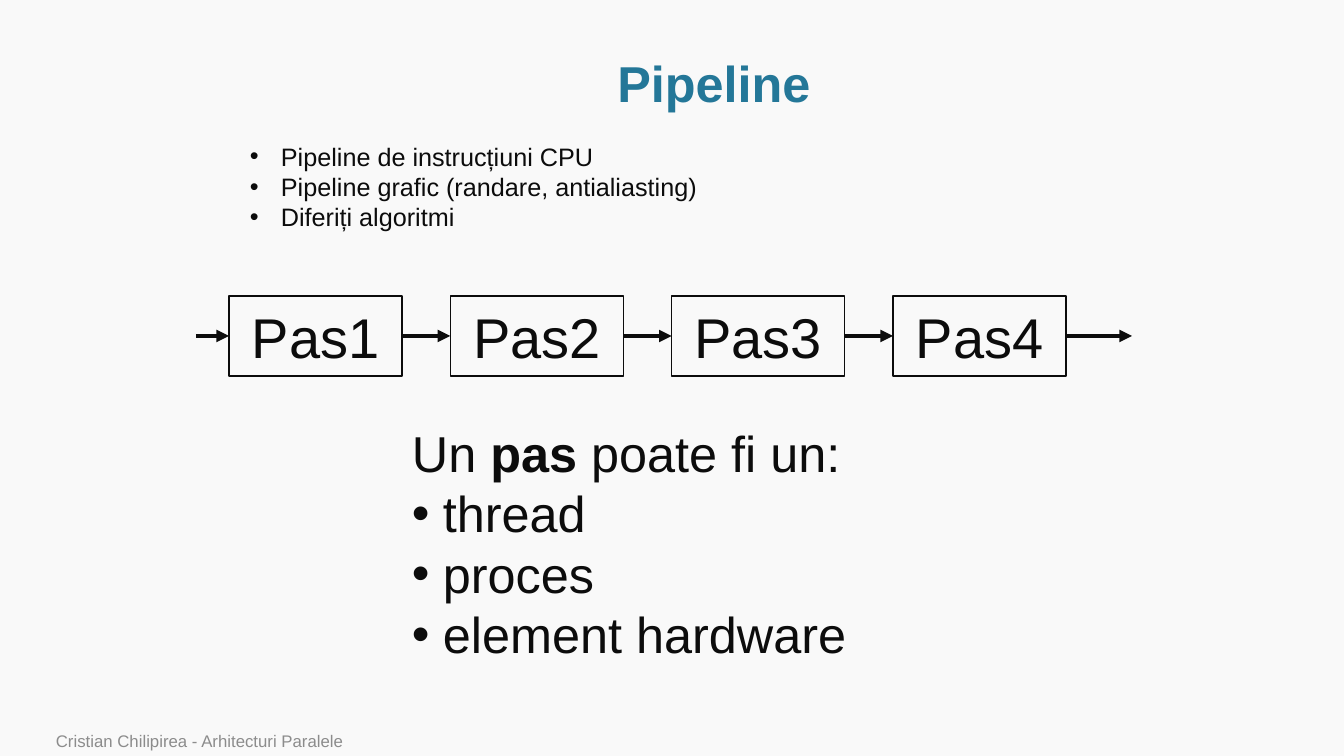
from lxml import etree
from pptx import Presentation
from pptx.dml.color import RGBColor
from pptx.enum.shapes import MSO_CONNECTOR, MSO_SHAPE
from pptx.enum.text import MSO_ANCHOR, MSO_AUTO_SIZE, PP_ALIGN
from pptx.oxml.ns import qn
from pptx.util import Pt

STRAIGHT = MSO_CONNECTOR.STRAIGHT
RECTANGLE = MSO_SHAPE.RECTANGLE
MIDDLE, BOTTOM = MSO_ANCHOR.MIDDLE, MSO_ANCHOR.BOTTOM
GROW = MSO_AUTO_SIZE.SHAPE_TO_FIT_TEXT
CENTER = PP_ALIGN.CENTER
LEFT_SIDE, RIGHT_SIDE = 1, 3
TITLE_ONLY = 5
FONT = "Arial"
COLORS = {"background": "F9F9F9", "title": "247798", "ink": "0C0C0C", "footer": "8C8C8C"}
BULLET_INDENT = 31


def px(length):
    return round(length * 914400 / 100.8)


def color(name):
    return RGBColor.from_string(COLORS[name])


def style(paragraph, size, color_name, bold=False):
    font = paragraph.font
    font.name = FONT
    font.size = Pt(size)
    font.bold = bold
    font.color.rgb = color(color_name)


def add_bullet(paragraph):
    properties = paragraph._p.get_or_add_pPr()
    properties.set("marL", str(px(BULLET_INDENT)))
    properties.set("indent", str(-px(BULLET_INDENT)))
    etree.SubElement(properties, qn("a:buFont")).set("typeface", FONT)
    etree.SubElement(properties, qn("a:buChar")).set("char", "•")


def add_title(slide, box, text):
    title = slide.shapes.title
    title.left, title.top, title.width, title.height = map(px, box)
    frame = title.text_frame
    frame.vertical_anchor = MIDDLE
    paragraph = frame.paragraphs[0]
    paragraph.text = text
    paragraph.alignment = CENTER
    paragraph.line_spacing = 0.9
    style(paragraph, 36, "title", bold=True)


def add_list(slide, box, size, items, heading=()):
    frame = slide.shapes.add_textbox(*map(px, box)).text_frame
    frame.word_wrap = False
    frame.auto_size = GROW
    paragraph = frame.paragraphs[0]
    if heading:
        for text, bold in heading:
            run = paragraph.add_run()
            run.text = text
            run.font.bold = bold
        style(paragraph, size, "ink")
    for index, item in enumerate(items):
        if heading or index:
            paragraph = frame.add_paragraph()
        paragraph.text = item
        add_bullet(paragraph)
        style(paragraph, size, "ink")


def add_step(slide, box, text):
    step = slide.shapes.add_shape(RECTANGLE, *map(px, box))
    step.shadow.inherit = False
    step.fill.background()
    step.line.color.rgb = color("ink")
    step.line.width = Pt(1)
    frame = step.text_frame
    frame.vertical_anchor = MIDDLE
    paragraph = frame.paragraphs[0]
    paragraph.text = text
    paragraph.alignment = CENTER
    style(paragraph, 40, "ink")
    return step


def add_arrow(slide, start, end, y, source, target):
    arrow = slide.shapes.add_connector(STRAIGHT, px(start), px(y), px(end), px(y))
    if source is not None:
        arrow.begin_connect(source, RIGHT_SIDE)
    if target is not None:
        arrow.end_connect(target, LEFT_SIDE)
    arrow.line.color.rgb = color("ink")
    arrow.line.width = Pt(3)
    line = arrow.line._get_or_add_ln()
    etree.SubElement(line, qn("a:tailEnd")).set("type", "triangle")
    etree.SubElement(arrow._element.spPr, qn("a:effectLst"))


def add_pipeline(slide, box, names, step_width, entry, exit_length):
    left, top, width, height = box
    pitch = (width - step_width) / (len(names) - 1)
    lefts = [left + index * pitch for index in range(len(names))]
    steps = [add_step(slide, (x, top, step_width, height), name)
             for x, name in zip(lefts, names)]
    starts = [left - entry] + [x + step_width for x in lefts]
    ends = lefts + [left + width + exit_length]
    for start, end, source, target in zip(starts, ends, [None] + steps, steps + [None]):
        add_arrow(slide, start, end, top + height / 2, source, target)


def add_footer(slide, box, text):
    frame = slide.shapes.add_textbox(*map(px, box)).text_frame
    frame.word_wrap = True
    frame.vertical_anchor = BOTTOM
    paragraph = frame.paragraphs[0]
    paragraph.text = text
    style(paragraph, 12, "footer")


def main():
    presentation = Presentation()
    presentation.slide_width = px(1344)
    presentation.slide_height = px(756)
    slide = presentation.slides.add_slide(presentation.slide_layouts[TITLE_ONLY])
    slide.background.fill.solid()
    slide.background.fill.fore_color.rgb = color("background")

    add_title(slide, (115, 51, 1198, 70), "Pipeline")
    add_pipeline(slide, (229, 296, 837, 80), ["Pas1", "Pas2", "Pas3", "Pas4"],
                 step_width=173, entry=33, exit_length=66)
    add_list(slide, (240, 136, 472, 102), 18,
             ["Pipeline de instrucțiuni CPU", "Pipeline grafic (randare, antialiasting)",
              "Diferiți algoritmi"])
    add_list(slide, (402, 417, 460, 254), 36, ["thread", "proces", "element hardware"],
             heading=[("Un ", False), ("pas", True), (" poate fi un:", False)])
    add_footer(slide, (46, 728, 990, 28), "Cristian Chilipirea - Arhitecturi Paralele")
    presentation.save("out.pptx")


if __name__ == "__main__":
    main()
